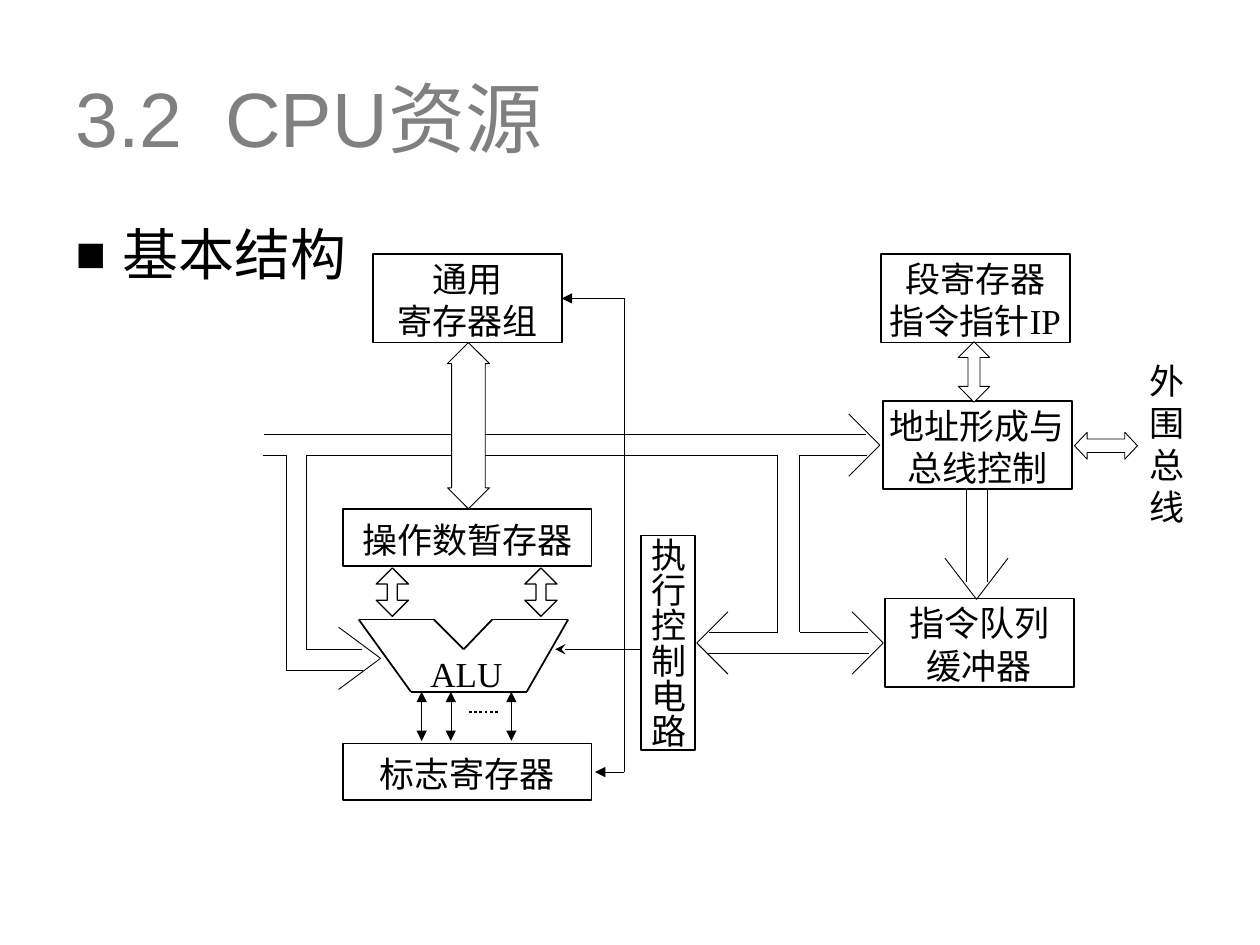
from dataclasses import dataclass
from itertools import pairwise

from lxml import etree
from pptx import Presentation
from pptx.dml.color import RGBColor
from pptx.enum.dml import MSO_LINE
from pptx.enum.shapes import MSO_CONNECTOR, MSO_SHAPE
from pptx.enum.text import MSO_ANCHOR, MSO_AUTO_SIZE, PP_ALIGN
from pptx.oxml.ns import qn
from pptx.util import Pt

RECT = MSO_SHAPE.RECTANGLE
UP_DOWN = MSO_SHAPE.UP_DOWN_ARROW
LEFT_RIGHT = MSO_SHAPE.LEFT_RIGHT_ARROW
STRAIGHT = MSO_CONNECTOR.STRAIGHT
TOP, MIDDLE = MSO_ANCHOR.TOP, MSO_ANCHOR.MIDDLE
LEFT, CENTER = PP_ALIGN.LEFT, PP_ALIGN.CENTER
RIGHT_SIDE = 3


@dataclass(frozen=True)
class Theme:
    ink: RGBColor = RGBColor(0, 0, 0)
    paper: RGBColor = RGBColor(255, 255, 255)
    heading: RGBColor = RGBColor(0x80, 0x80, 0x80)
    heading_font: str = "Arial"
    text_font: str = "Times New Roman"
    title_size: int = 44
    list_size: int = 32
    label_size: int = 20
    hair: float = 0.25
    thin: float = 0.5
    medium: float = 0.75
    thick: float = 1


theme = Theme()
deck = Presentation()
deck.slide_width, deck.slide_height = Pt(720), Pt(540)
page = deck.slides.add_slide(deck.slide_layouts[1])


def write(shape, text, size, font, color, align, anchor, margins=None):
    """Set the text of a shape and format all of its runs."""
    frame = shape.text_frame
    frame.text = text
    frame.word_wrap = True
    frame.auto_size = MSO_AUTO_SIZE.NONE
    frame.vertical_anchor = anchor
    if margins:
        (frame.margin_left, frame.margin_top,
         frame.margin_right, frame.margin_bottom) = map(Pt, margins)
    for para in frame.paragraphs:
        para.alignment = align
        for span in para.runs:
            span.font.size = Pt(size)
            span.font.name = font
            span.font.color.rgb = color


def stroke(points, width=theme.thin, head=None, tail=None):
    """Join the points with straight lines; return the last one."""
    for start, end in pairwise(points):
        line = page.shapes.add_connector(STRAIGHT, *map(Pt, start + end))
        line.line.color.rgb = theme.ink
        line.line.width = Pt(width)
        outline = line.line._get_or_add_ln()
        for tag, kind in (("a:headEnd", head), ("a:tailEnd", tail)):
            if kind:
                etree.SubElement(outline, qn(tag), type=kind)
        etree.SubElement(line._element.spPr, qn("a:effectLst"))
    return line


# Title
title = page.shapes.title
title.left, title.top, title.width, title.height = map(Pt, (36, 21.6, 648, 90))
write(title, "3.2  CPU资源", theme.title_size, theme.heading_font,
      theme.heading, LEFT, MIDDLE)

# Bulleted heading
body = page.placeholders[1]
body.left, body.top, body.width, body.height = map(Pt, (36, 126, 648, 42))
write(body, "基本结构", theme.list_size, theme.text_font, theme.ink, LEFT, TOP)
item = body.text_frame.paragraphs[0]
item.line_spacing = 0.9
item.space_before = Pt(8)
item_format = item._p.get_or_add_pPr()
item_format.set("marL", str(Pt(27)))
item_format.set("indent", str(Pt(-27)))
bullet_color = etree.SubElement(item_format, qn("a:buClr"))
etree.SubElement(bullet_color, qn("a:srgbClr"), val=str(theme.ink))
etree.SubElement(item_format, qn("a:buSzPct"), val="90000")
etree.SubElement(item_format, qn("a:buChar"), char="■")

# Units of the processor
units = {}
for name, text, left, top, width, height in (
    ("registers", "通用\n寄存器组", 213, 145.3, 108, 50.5),
    ("operands", "操作数暂存器", 196, 291, 142, 32.5),
    ("flags", "标志寄存器", 196, 424.8, 142, 32.5),
    ("control", "执行控制电路", 366.3, 306, 31, 122.5),
    ("queue", "指令队列\n缓冲器", 505.7, 342, 108, 50.5),
    ("segments", "段寄存器\n指令指针IP", 503.3, 145.3, 108, 50.5),
    ("address", "地址形成与总线控制", 504.5, 229, 108, 50.5),
):
    box = page.shapes.add_shape(RECT, *map(Pt, (left, top, width, height)))
    box.shadow.inherit = False
    box.fill.solid()
    box.fill.fore_color.rgb = theme.paper
    box.line.color.rgb = theme.ink
    box.line.width = Pt(theme.thick)
    write(box, text, theme.label_size, theme.text_font, theme.ink,
          CENTER, MIDDLE, (0, 1.5, 0, 0))
    units[name] = box
units["control"].text_frame._txBody.bodyPr.set("vert", "eaVert")

# Labels without a frame
for text, area, inset in (
    ("ALU", (238, 373, 57, 28), 0),
    ("外\n围\n总\n线", (648.7, 199.4, 36, 119.5), 5.8),
):
    label = page.shapes.add_textbox(*map(Pt, area))
    write(label, text, theme.label_size, theme.text_font, theme.ink,
          CENTER, TOP, (0, inset, 0, 0))

# ALU outline
stroke([(205, 354), (248, 354), (265, 371), (281.3, 354), (324.7, 354),
        (301, 395.3), (234.8, 395.3), (205, 354)], theme.thick)

# Internal bus and its branches
bus_top, bus_bottom = 248.2, 260.2
stroke([(151, bus_top), (495, bus_top)])
stroke([(150.5, bus_bottom), (163.5, bus_bottom), (163.5, 383), (207.5, 383)])
stroke([(207, 371), (175, 371), (175, bus_bottom), (444.4, bus_bottom),
        (444.4, 361.3), (405.3, 361.3)])
stroke([(495.5, bus_bottom), (457, bus_bottom), (457, 361.3), (496, 361.3)])
stroke([(496.8, 373.5), (404.7, 373.5)])
for x in (552, 564):
    stroke([(x, 279.5), (x, 332.5)])

# Open bus heads: tip, then the direction in which the wings run back
wing = 17.8
for x, y, back in ((217.5, 376.2, -1), (502.8, 254.3, -1),
                   (504.7, 367.4, -1), (398.2, 367.4, 1)):
    base = x + back * wing * 1.35 if x < 300 else x + back * wing
    stroke([(base, y - wing), (x, y), (base, y + wing)])
stroke([(540, 319), (558, 342.5), (576, 319)])

# ALU to flags
for x in (241, 257.6, 292.2):
    stroke([(x, 395.3), (x, 423.4)], theme.hair, "triangle", "triangle")
dots = stroke([(268, 406.8), (285.7, 406.8)], 1.5)
dots.line.dash_style = MSO_LINE.ROUND_DOT

# Control lines
trunk = 356.7
stroke([(trunk, 170.55), (trunk, 441.2)])
stroke([(trunk, 441.2), (340, 441.2)], tail="triangle")
stroke([(366, 371), (317.3, 371)], tail="stealth")
to_registers = stroke([(trunk, 170.55), (321, 170.55)], tail="triangle")
to_registers.end_connect(units["registers"], RIGHT_SIDE)

# Two-way data arrows
for kind, area, head_ratio, width in (
    (UP_DOWN, (255.7, 195.8, 24, 95), 0.8, theme.thin),
    (UP_DOWN, (215, 324.6, 18.4, 27.6), 0.31, theme.medium),
    (UP_DOWN, (299.9, 324.6, 18.4, 27.6), 0.31, theme.medium),
    (UP_DOWN, (547.6, 195.3, 18, 34.5), 0.38, theme.thin),
    (LEFT_RIGHT, (614, 247, 36, 15.4), 0.47, theme.thin),
):
    arrow = page.shapes.add_shape(kind, *map(Pt, area))
    arrow.adjustments[0] = 0.5
    arrow.adjustments[1] = head_ratio
    arrow.shadow.inherit = False
    arrow.fill.solid()
    arrow.fill.fore_color.rgb = theme.paper
    arrow.line.color.rgb = theme.ink
    arrow.line.width = Pt(width)

deck.save("out.pptx")
